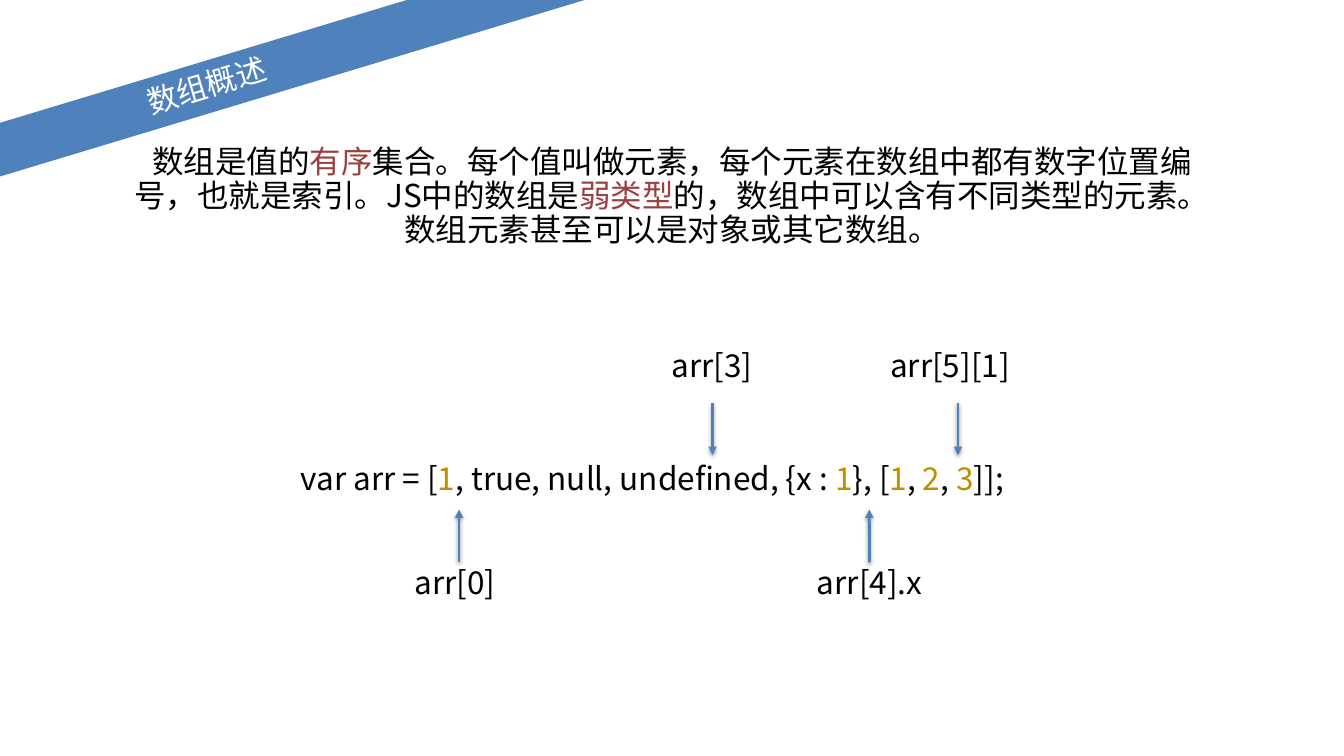
"""Build a slide that explains JavaScript arrays and how their elements are indexed."""
from lxml.etree import SubElement
from pptx import Presentation
from pptx.dml.color import RGBColor
from pptx.enum.shapes import MSO_CONNECTOR as Connector
from pptx.enum.text import MSO_ANCHOR as Anchor, MSO_AUTO_SIZE as AutoSize, PP_ALIGN as Align
from pptx.oxml.ns import qn
from pptx.util import Pt

PX = 9144
SLIDE_SIZE = (2667, 1500)
FONT = "Noto Sans CJK SC"
BLACK, WHITE, BLUE, RED, GOLD = "000000", "FFFFFF", "4F81BD", "9A403E", "BF8F00"

TITLE = [("数组概述", WHITE)]
TITLE_BOX = (-499, 122, 1819, 102)
TITLE_ROTATION = 343.2

SUMMARY = [
    ("数组是值的", BLACK),
    ("有序", RED),
    ("集合。每个值叫做元素，每个元素在数组中都有数字位置编号，也就是索引。JS中的数组是", BLACK),
    ("弱类型", RED),
    ("的，数组中可以含有不同类型的元素。数组元素甚至可以是对象或其它数组。", BLACK),
]
SUMMARY_BOX = (253, 281, 2160, 253)

CODE = [
    ("var arr = [", BLACK), ("1", GOLD),
    (", true, null, undefined, {x : ", BLACK), ("1", GOLD),
    ("}, [", BLACK), ("1", GOLD), (", ", BLACK), ("2", GOLD),
    (", ", BLACK), ("3", GOLD), ("]];", BLACK),
]
CODE_BOX = (587, 901, 1474, 103)

LABEL_HEIGHT = 103
ROWS = {
    "above": {"label_top": 686, "start": 800, "end": 903},
    "below": {"label_top": 1116, "start": 1115, "end": 1011},
}
LABELS = [
    ("arr[0]", "below", 812, 182, 911),
    ("arr[3]", "above", 1322, 182, 1414),
    ("arr[4].x", "below", 1611, 229, 1725),
    ("arr[5][1]", "above", 1755, 260, 1901),
]


def rgb(color):
    return RGBColor.from_string(color)


def emu(lengths):
    return [length * PX for length in lengths]


def write(shape, runs, size=45, inset=10, align=Align.CENTER, spacing=0.9):
    frame = shape.text_frame
    frame.margin_left = frame.margin_top = frame.margin_right = frame.margin_bottom = inset * PX
    paragraph = frame.paragraphs[0]
    paragraph.alignment = align
    paragraph.line_spacing = spacing
    paragraph._p.get_or_add_pPr().set("hangingPunct", "0")
    for text, color in runs:
        run = paragraph.add_run()
        run.text = text
        run.font.size = Pt(size)
        run.font.name = FONT
        run.font.color.rgb = rgb(color)
        SubElement(run.font._element, qn("a:ea"), typeface=FONT)


def add_text(slide, box, runs, wrap=False, **style):
    shape = slide.shapes.add_textbox(*emu(box))
    shape.text_frame.word_wrap = wrap
    shape.text_frame.auto_size = AutoSize.SHAPE_TO_FIT_TEXT
    write(shape, runs, **style)
    return shape


def add_title(slide):
    title = slide.shapes.title
    title.left, title.top, title.width, title.height = emu(TITLE_BOX)
    title.rotation = TITLE_ROTATION
    title.fill.solid()
    title.fill.fore_color.rgb = rgb(BLUE)
    title.text_frame.auto_size = AutoSize.NONE
    title.text_frame.vertical_anchor = Anchor.MIDDLE
    write(title, TITLE, size=43.8, inset=0)


def add_arrow(slide, x, start, end):
    arrow = slide.shapes.add_connector(Connector.STRAIGHT, *emu((x, start, x, end)))
    arrow.line.color.rgb = rgb(BLUE)
    arrow.line.width = Pt(4)
    SubElement(arrow.line._get_or_add_ln(), qn("a:tailEnd"), type="triangle")
    effects = SubElement(arrow._element.spPr, qn("a:effectLst"))
    shadow = SubElement(effects, qn("a:outerShdw"), blurRad=str(Pt(6)), dist=str(Pt(3)),
                        dir="5400000", rotWithShape="0")
    color = SubElement(shadow, qn("a:srgbClr"), val=BLACK)
    SubElement(color, qn("a:alpha"), val="38000")
    return arrow


def add_label(slide, text, row_name, left, width, arrow_x):
    row = ROWS[row_name]
    box = (left, row["label_top"], width, LABEL_HEIGHT)
    label = add_text(slide, box, [(text, BLACK)])
    arrow = add_arrow(slide, arrow_x, row["start"], row["end"])
    centred = abs(left + width / 2 - arrow_x) <= 1
    if centred and abs(row["label_top"] - row["start"]) <= 1:
        arrow.begin_connect(label, 0)


def main():
    presentation = Presentation()
    presentation.slide_width, presentation.slide_height = emu(SLIDE_SIZE)
    slide = presentation.slides.add_slide(presentation.slide_layouts[5])
    add_title(slide)
    add_text(slide, SUMMARY_BOX, SUMMARY, wrap=True)
    add_text(slide, CODE_BOX, CODE, align=Align.LEFT, spacing=1.0)
    for label in LABELS:
        add_label(slide, *label)
    presentation.save("out.pptx")


if __name__ == "__main__":
    main()
